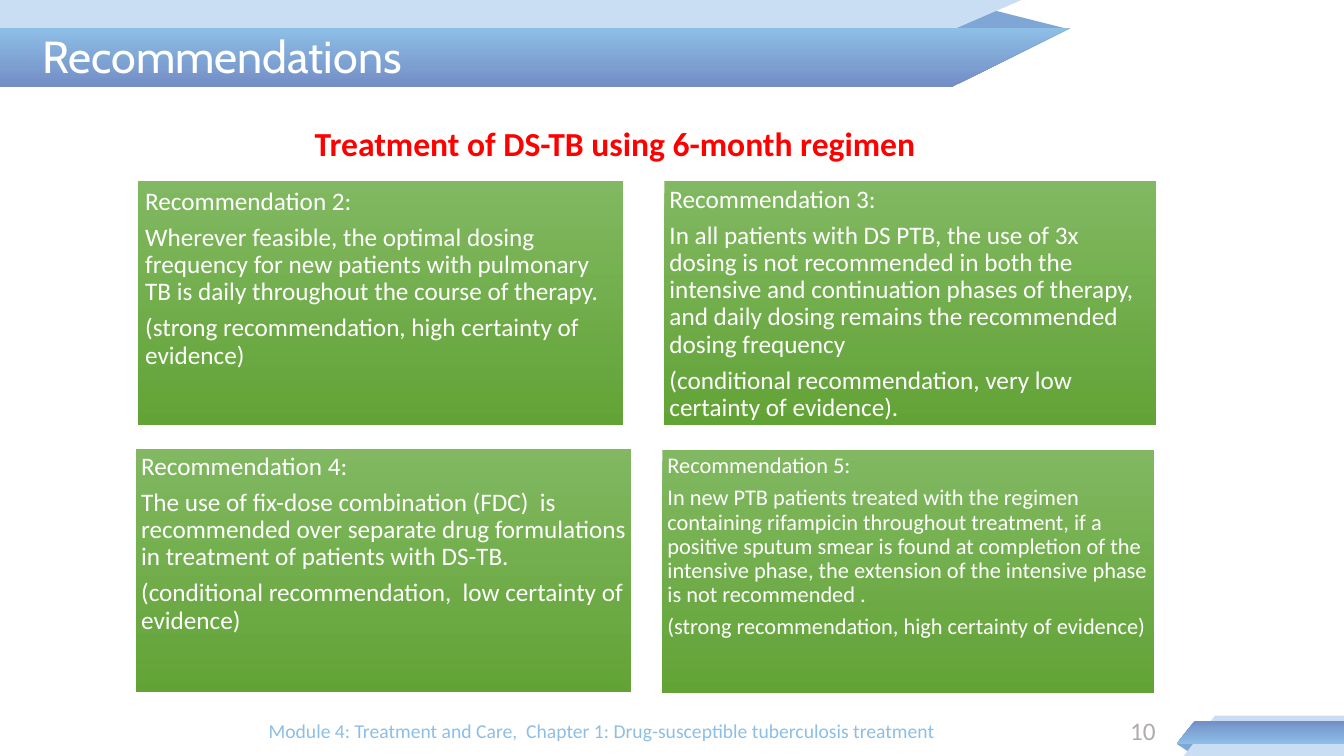
from dataclasses import dataclass

import pptx
import pptx.dml.color
import pptx.enum.shapes
import pptx.enum.text
import pptx.util

SHAPE = pptx.enum.shapes.MSO_SHAPE
ALIGN = pptx.enum.text.PP_ALIGN
ANCHOR = pptx.enum.text.MSO_ANCHOR
WIDTH, HEIGHT = 13.33, 7.5


@dataclass(frozen=True)
class Theme:
    body_font: str = "Calibri"
    title_font: str = "Cabin"
    white: str = "FFFFFF"
    red: str = "FF0000"
    pale_blue: str = "C9DDF3"
    fold_blue: str = "80A6D5"
    footer_blue: str = "8DBEE6"
    number_grey: str = "AFABAB"
    ribbon: tuple = ("738EC5", "8DBEE6")
    card: tuple = ("81B861", "62A336")
    title_size: int = 32
    heading_size: int = 24
    card_size: int = 18
    small_card_size: int = 16
    footer_size: int = 14


THEME = Theme()

# Rows: card boxes (left, top, width, height), inset, text size, paragraphs
CARD_HEIGHT = 2.42
CARDS = [
    ((1.37, 1.8, 4.81, CARD_HEIGHT), 0.07, THEME.card_size, [
        "Recommendation 2:",
        "Wherever feasible, the optimal dosing frequency for new patients with "
        "pulmonary TB is daily throughout the course of therapy.",
        "(strong recommendation, high certainty of evidence)"]),
    ((6.59, 1.8, 4.88, CARD_HEIGHT), 0.05, THEME.card_size, [
        "Recommendation 3:",
        "In all patients with DS PTB, the use of 3x dosing is not recommended in "
        "both the intensive and continuation phases of therapy, and daily dosing "
        "remains the recommended dosing frequency",
        "(conditional recommendation, very low certainty of evidence)."]),
    ((1.35, 4.45, 4.91, CARD_HEIGHT), 0.05, THEME.card_size, [
        "Recommendation 4:",
        "The use of fix-dose combination (FDC)  is recommended over separate drug "
        "formulations in treatment of patients with DS-TB.",
        "(conditional recommendation,  low certainty of evidence)"]),
    ((6.57, 4.46, 4.88, CARD_HEIGHT), 0.05, THEME.small_card_size, [
        "Recommendation 5:",
        "In new PTB patients treated with the regimen containing rifampicin "
        "throughout treatment, if a positive sputum smear is found at completion "
        "of the intensive phase, the extension of the intensive phase is not "
        "recommended .",
        "(strong recommendation, high certainty of evidence)"]),
]


def rgb(value):
    return pptx.dml.color.RGBColor.from_string(value)


def inches(box):
    return [pptx.util.Inches(length) for length in box]


def add_filled(slide, kind, box, fill, flips=(), rotation=0):
    """Add a borderless shape; a pair of colours makes a vertical gradient."""
    shape = slide.shapes.add_shape(kind, *inches(box))
    shape.shadow.inherit = False
    shape.line.fill.background()
    shape.rotation = rotation
    for flip in flips:
        shape._element.spPr.xfrm.set(flip, "1")
    if isinstance(fill, str):
        shape.fill.solid()
        shape.fill.fore_color.rgb = rgb(fill)
    else:
        shape.fill.gradient()
        shape.fill.gradient_angle = 270
        for stop, colour, position in zip(shape.fill.gradient_stops, fill, (0, 1)):
            stop.color.rgb = rgb(colour)
            stop.position = position
    return shape


def write(shape, paragraphs, size, colour, align, anchor, font=THEME.body_font):
    frame = shape.text_frame
    frame.word_wrap = True
    frame.auto_size = pptx.enum.text.MSO_AUTO_SIZE.NONE
    frame.vertical_anchor = anchor
    frame.text = "\n".join(paragraphs)
    for paragraph in frame.paragraphs:
        paragraph.alignment = align
        paragraph.font.name = font
        paragraph.font.size = pptx.util.Pt(size)
        paragraph.font.color.rgb = rgb(colour)
    return frame


def add_label(slide, box, text, size, colour, align, anchor=ANCHOR.MIDDLE):
    label = slide.shapes.add_textbox(*inches(box))
    return write(label, [text], size, colour, align, anchor)


def add_ribbon(slide, fold, fold_flips, flip, bands):
    """Draw the fold, then each band as a bar and its slanted end."""
    triangle = add_filled(slide, SHAPE.ISOSCELES_TRIANGLE, fold,
                          THEME.fold_blue, fold_flips)
    triangle.adjustments[0] = 0.324
    for fill, top, height, bar_span, end_span in bands:
        for kind, (left, width) in ((SHAPE.RECTANGLE, bar_span),
                                    (SHAPE.RIGHT_TRIANGLE, end_span)):
            add_filled(slide, kind, (left, top, width, height), fill, [flip], 180)


def add_title(slide, box, text):
    title = slide.shapes.title
    title.left, title.top, title.width, title.height = inches(box)
    write(title, [text], THEME.title_size, THEME.white, ALIGN.LEFT,
          ANCHOR.MIDDLE, THEME.title_font)
    slide.shapes._spTree.append(title._element)  # in front of the ribbon


def add_card(slide, box, inset, size, paragraphs):
    card = add_filled(slide, SHAPE.RECTANGLE, box, THEME.card)
    frame = write(card, paragraphs, size, THEME.white, ALIGN.LEFT, ANCHOR.TOP)
    margin = pptx.util.Inches(inset)
    frame.margin_left = frame.margin_right = margin
    frame.margin_top = frame.margin_bottom = margin
    for paragraph in frame.paragraphs:
        paragraph.line_spacing = 0.9
        paragraph.space_after = pptx.util.Pt(0.35 * size)


def add_footer(slide, top, height):
    add_label(slide, (1.96, top, 8.02, height),
              "Module 4: Treatment and Care,  Chapter 1: Drug-susceptible "
              "tuberculosis treatment",
              THEME.footer_size, THEME.footer_blue, ALIGN.CENTER)
    add_label(slide, (10.13, top, 1.43, height), "10",
              THEME.card_size, THEME.number_grey, ALIGN.RIGHT)


def build_slide(presentation):
    slide = presentation.slides.add_slide(presentation.slide_layouts[5])
    # Ribbons at the top left and bottom right
    add_ribbon(slide, (9.43, 0.09, 1.17, 0.2), (), "flipH", [
        (THEME.pale_blue, 0, 0.86, (0, 8.15), (8.14, 1.99)),
        (THEME.ribbon, 0.28, 0.58, (0, 9.45), (9.45, 1.16))])
    add_ribbon(slide, (11.67, 7.38, 0.18, 0.08), ("flipH", "flipV"), "flipV", [
        (THEME.pale_blue, 7.1, 0.4, (12.05, 1.28), (11.74, 0.31)),
        (THEME.ribbon, 7.15, 0.23, (11.85, 1.48), (11.67, 0.18))])
    # Headings
    heading = add_label(slide, (0.64, 1.17, 10.92, 0.46),
                        "Treatment of DS-TB using 6-month regimen",
                        THEME.heading_size, THEME.red, ALIGN.CENTER, ANCHOR.TOP)
    heading.paragraphs[0].font.bold = True
    add_title(slide, (0.32, 0.11, 8.02, 0.89), "Recommendations")
    # Recommendation cards
    for card in CARDS:
        add_card(slide, *card)
    add_footer(slide, 7.05, 0.4)


def main():
    presentation = pptx.Presentation()
    presentation.slide_width, presentation.slide_height = inches((WIDTH, HEIGHT))
    build_slide(presentation)
    presentation.save("out.pptx")


if __name__ == "__main__":
    main()
